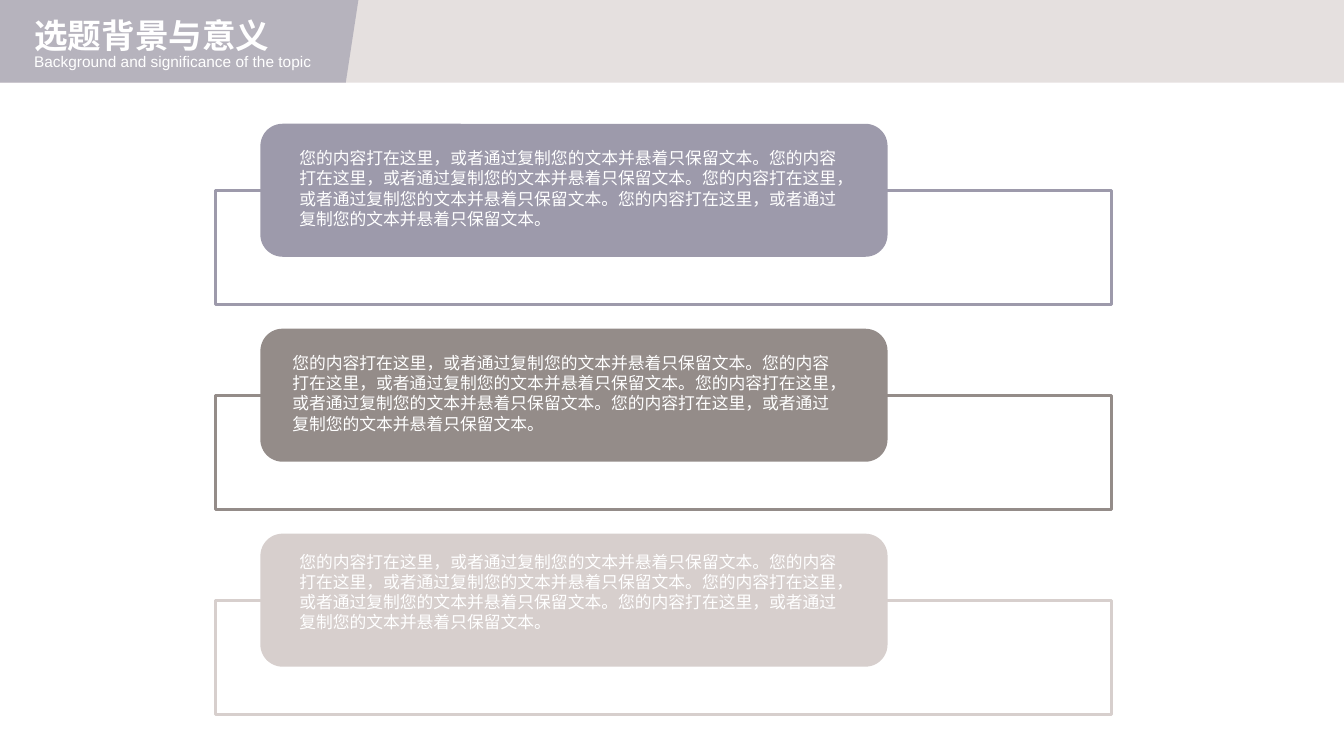
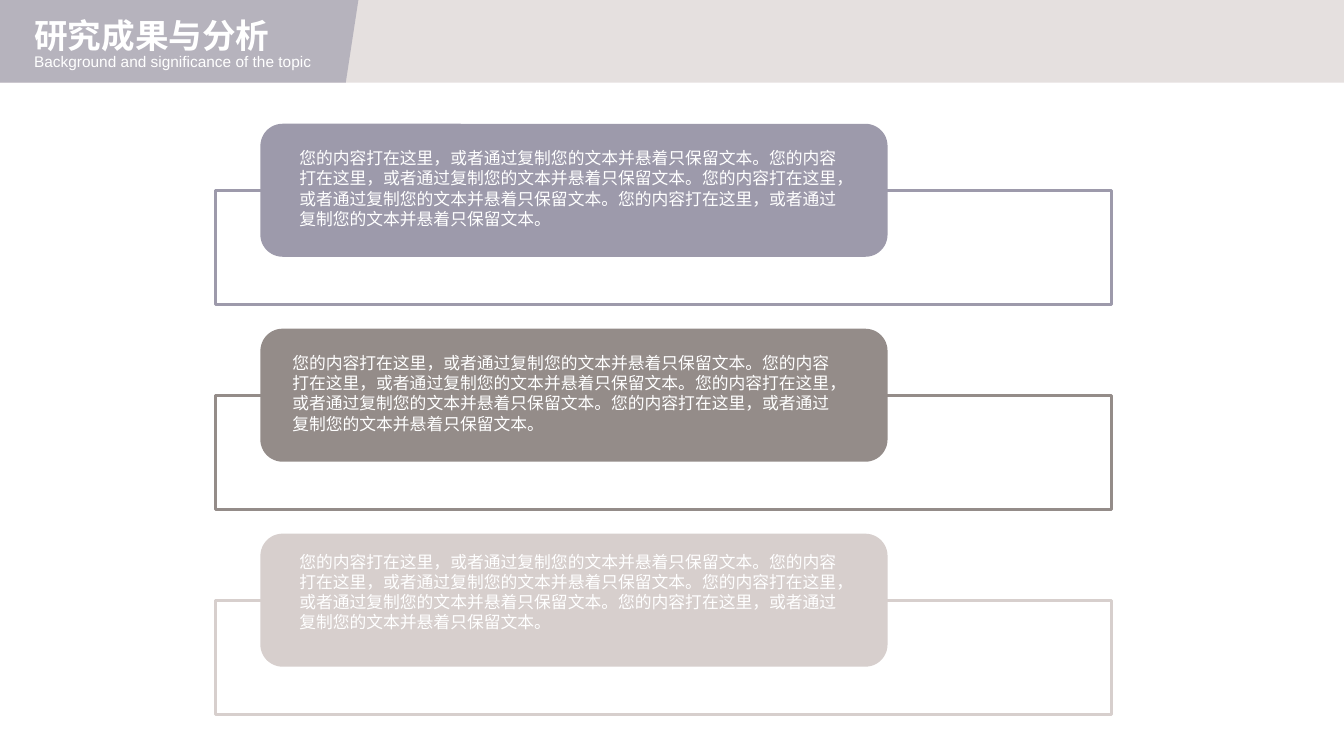
from lxml.etree import SubElement
from pptx import Presentation
from pptx.dml.color import RGBColor
from pptx.enum.shapes import MSO_SHAPE as Shape
from pptx.enum.text import MSO_ANCHOR as Anchor, MSO_AUTO_SIZE as AutoSize, PP_ALIGN as Align
from pptx.oxml.ns import qn
from pptx.util import Pt

COLORS = {"lavender": "9D9AAB", "taupe": "948C89", "blush": "D7CFCD", "white": "FFFFFF"}
FONT = "Arial"
SLIDE_WIDTH, SLIDE_HEIGHT = 960, 540
HEADER_HEIGHT = 59
LINE_FACTOR = 1.2

TITLES = ["选题背景与意义", "研究成果与分析"]
SUBTITLE = "Background and significance of the topic"
OPENING = "您的内容打在这里，或者通过复制您的文本并悬着只保留文本。"
BODY = OPENING * 4

# Panel colour, then the offset of the text from the card's corner
PANELS = [("lavender", 20.7, 13.7), ("taupe", 15.7, 13.7), ("blush", 20.7, 9.1)]
PANEL_LEFT, PANEL_TOP, PANEL_PITCH = 154, 88.4, 146.4


def rgb(name):
    return RGBColor.from_string(COLORS[name])


def paint(shape, fill, opacity=100, line=None):
    """Give a shape a flat fill and an optional 2 pt outline, without shadow."""
    shape.shadow.inherit = False
    shape.fill.solid()
    shape.fill.fore_color.rgb = rgb(fill)
    if opacity < 100:
        color = shape.element.spPr.find(f"{qn('a:solidFill')}/{qn('a:srgbClr')}")
        SubElement(color, qn("a:alpha"), val=str(opacity * 1000))
    if line:
        shape.line.color.rgb = rgb(line)
        shape.line.width = Pt(2)
    else:
        shape.line.fill.background()


def place(shape, left, top, width, height):
    shape.left, shape.top, shape.width, shape.height = map(Pt, (left, top, width, height))


def write(shape, text, size, bold=False, wrap=True, spacing=None):
    """Write one white, left-aligned run at the top of a text shape."""
    frame = shape.text_frame
    frame.word_wrap = wrap
    frame.auto_size = AutoSize.SHAPE_TO_FIT_TEXT
    frame.vertical_anchor = Anchor.TOP
    paragraph = frame.paragraphs[0]
    paragraph.alignment = Align.LEFT
    if spacing:
        paragraph.line_spacing = Pt(spacing)
    run = paragraph.add_run()
    run.text = text
    run.font.name = FONT
    run.font.size = Pt(size)
    run.font.bold = bold
    run.font.color.rgb = rgb("white")
    SubElement(run.font._element, qn("a:ea"), typeface=FONT)


def add_header(slide, title_text):
    shapes = slide.shapes
    band = shapes.add_shape(Shape.RECTANGLE, 0, 0, Pt(SLIDE_WIDTH), Pt(HEADER_HEIGHT))
    paint(band, "blush", opacity=63)

    outline = shapes.build_freeform(0, 0, scale=Pt(1))
    outline.add_line_segments([(255.6, 0), (247, HEADER_HEIGHT), (0, HEADER_HEIGHT)])
    paint(outline.convert_to_shape(), "lavender", opacity=64)

    title = shapes.title
    title.element.getparent().append(title.element)  # bring in front of the band
    place(title, 17.3, 7.2, 184.3, 36)
    write(title, title_text, 24, bold=True, wrap=False, spacing=24 * LINE_FACTOR)

    subtitle = shapes.add_textbox(Pt(17.3), Pt(33.8), Pt(213.8), Pt(20.9))
    write(subtitle, SUBTITLE, 11, wrap=False)


def add_panel(slide, left, top, color, text_dx, text_dy):
    """Add an outlined frame with a rounded text card overlapping its top edge."""
    shapes = slide.shapes
    frame = shapes.add_shape(Shape.RECTANGLE, Pt(left), Pt(top + 47.5), Pt(640), Pt(81.5))
    paint(frame, "white", opacity=90, line=color)

    card_left = left + 32
    card = shapes.add_shape(Shape.ROUNDED_RECTANGLE, Pt(card_left), Pt(top), Pt(448), Pt(95))
    paint(card, color)

    body = shapes.add_textbox(Pt(card_left + text_dx), Pt(top + text_dy), Pt(400.3), Pt(65))
    write(body, BODY, 12, spacing=12 * LINE_FACTOR)


def add_panels_slide(deck, title_text):
    slide = deck.slides.add_slide(deck.slide_layouts.get_by_name("Title Only"))
    add_header(slide, title_text)
    for row, (color, text_dx, text_dy) in enumerate(PANELS):
        add_panel(slide, PANEL_LEFT, PANEL_TOP + row * PANEL_PITCH, color, text_dx, text_dy)


def main():
    deck = Presentation()
    deck.slide_width, deck.slide_height = Pt(SLIDE_WIDTH), Pt(SLIDE_HEIGHT)
    for title_text in TITLES:
        add_panels_slide(deck, title_text)
    deck.save("out.pptx")


if __name__ == "__main__":
    main()
